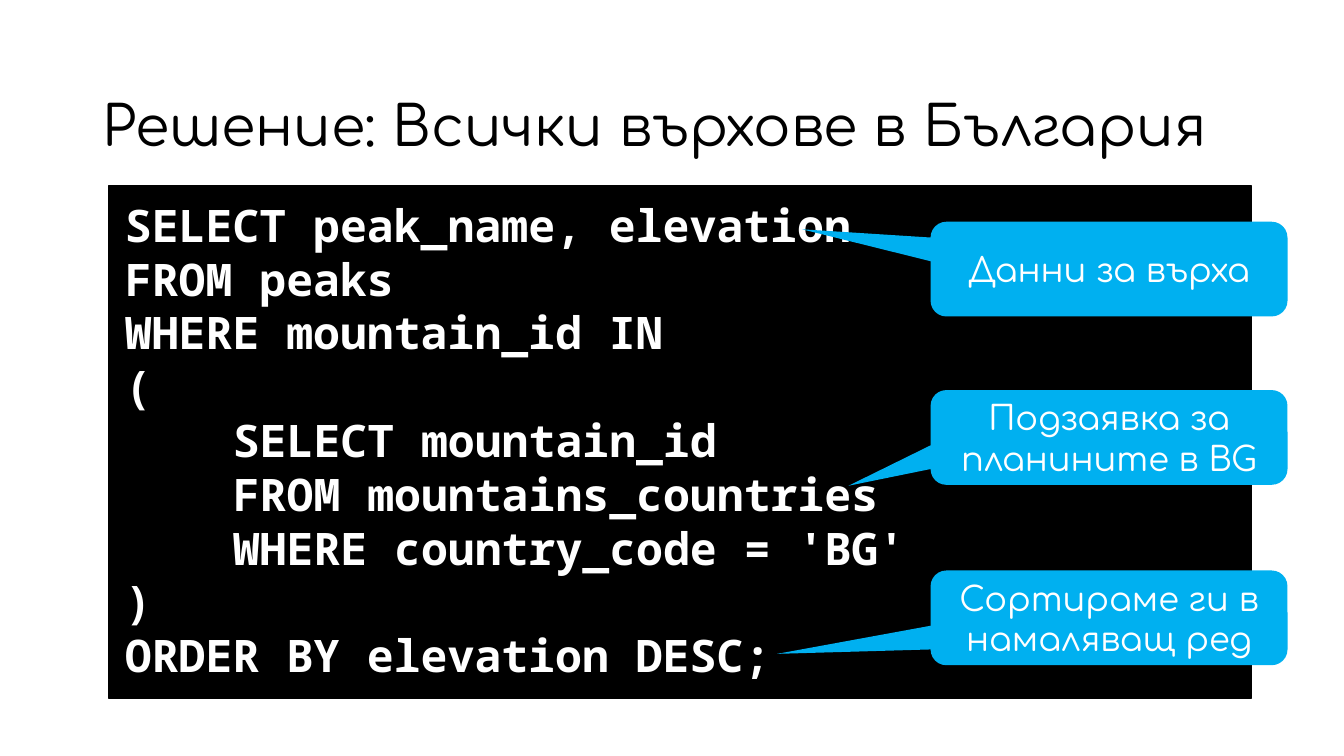
from pptx import Presentation
from pptx.dml.color import RGBColor
from pptx.enum.shapes import MSO_SHAPE as Shape
from pptx.enum.text import MSO_ANCHOR as Anchor, MSO_AUTO_SIZE as AutoSize, PP_ALIGN as Align
from pptx.util import Inches, Pt

TITLE = "Решение: Всички върхове в България"
# Each code line: indent level, text
QUERY = [
    (0, "SELECT peak_name, elevation"),
    (0, "FROM peaks"),
    (0, "WHERE mountain_id IN"),
    (0, "("),
    (1, "SELECT mountain_id"),
    (1, "FROM mountains_countries"),
    (1, "WHERE country_code = 'BG'"),
    (0, ")"),
    (0, "ORDER BY elevation DESC;"),
]
# Each callout: top, pointer x and y as shares of the box size, text
CALLOUTS = [
    (3.87, -0.73, 0.51, "Подзаявка за планините в BG"),
    (2.2, -0.86, -0.42, "Данни за върха"),
    (5.66, -0.93, 0.38, "Сортираме ги в намаляващ ред"),
]


def color(value):
    return RGBColor.from_string(value)


def write(para, text, font="Comfortaa", size=24, ink="FFFFFF", bold=False, align=Align.LEFT):
    para.alignment = align
    span = para.add_run()
    span.text = text
    span.font.name = font
    span.font.size = Pt(size)
    span.font.bold = bold
    span.font.color.rgb = color(ink)


class QuerySlide:
    """Holds the slide's style and the page being built."""

    code_font = "Noto Sans Mono"
    black = "000000"
    accent = "00B0F0"
    code_indent = Inches(1.07)

    def __init__(self, deck):
        self.page = deck.slides.add_slide(deck.slide_layouts[5])

    def title(self, text):
        box = self.page.shapes.title
        box.left, box.top = Inches(0.92), Inches(0.79)
        box.width, box.height = Inches(11.5), Inches(0.98)
        frame = box.text_frame
        frame.auto_size = AutoSize.NONE
        frame.vertical_anchor = Anchor.MIDDLE
        para = frame.paragraphs[0]
        para.line_spacing = 0.9
        write(para, text, size=39.6, ink=self.black)

    def shape(self, kind, left, top, width, height, fill):
        box = self.page.shapes.add_shape(
            kind, Inches(left), Inches(top), Inches(width), Inches(height))
        box.shadow.inherit = False
        box.fill.solid()
        box.fill.fore_color.rgb = color(fill)
        box.line.fill.background()
        box.text_frame.word_wrap = True
        return box

    def code(self, lines):
        box = self.shape(Shape.RECTANGLE, 1.08, 1.84, 11.33, 5.09, self.black)
        box.line.color.rgb = color(self.black)
        box.line.width = Pt(1)
        frame = box.text_frame
        frame.auto_size = AutoSize.SHAPE_TO_FIT_TEXT
        frame.vertical_anchor = Anchor.TOP
        frame.margin_left = frame.margin_right = Inches(0.16)
        frame.margin_top = frame.margin_bottom = Inches(0.12)
        for number, (level, text) in enumerate(lines):
            para = frame.add_paragraph() if number else frame.paragraphs[0]
            write(para, text, font=self.code_font, size=32, bold=True)
            if level:
                para._p.get_or_add_pPr().set("marL", str(level * self.code_indent))

    def callout(self, top, pointer_x, pointer_y, text):
        box = self.shape(Shape.ROUNDED_RECTANGULAR_CALLOUT, 9.23, top, 3.54, 0.94, self.accent)
        box.adjustments[0] = pointer_x
        box.adjustments[1] = pointer_y
        box.text_frame.vertical_anchor = Anchor.MIDDLE
        write(box.text_frame.paragraphs[0], text, align=Align.CENTER)


def main():
    deck = Presentation()
    deck.slide_width, deck.slide_height = Inches(13.33), Inches(7.5)
    slide = QuerySlide(deck)
    slide.title(TITLE)
    slide.code(QUERY)
    for callout in CALLOUTS:
        slide.callout(*callout)
    deck.save("out.pptx")


if __name__ == "__main__":
    main()
